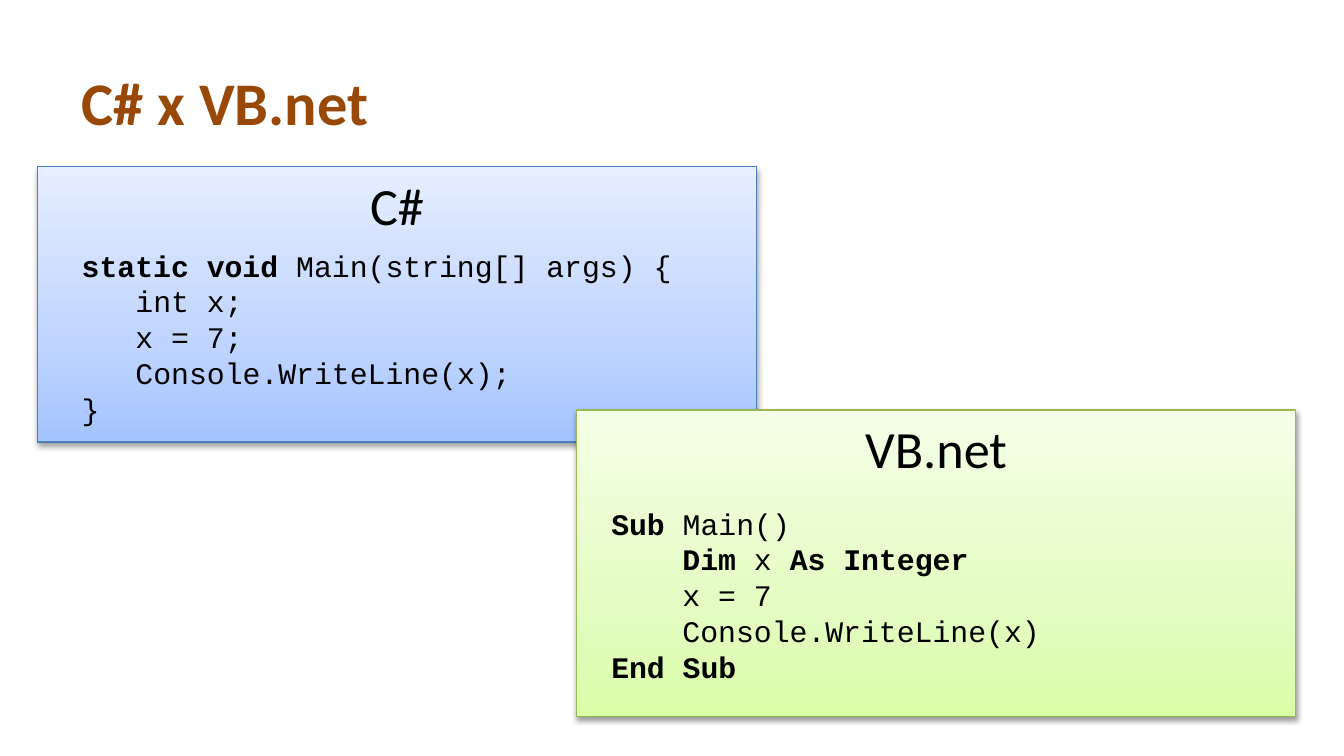
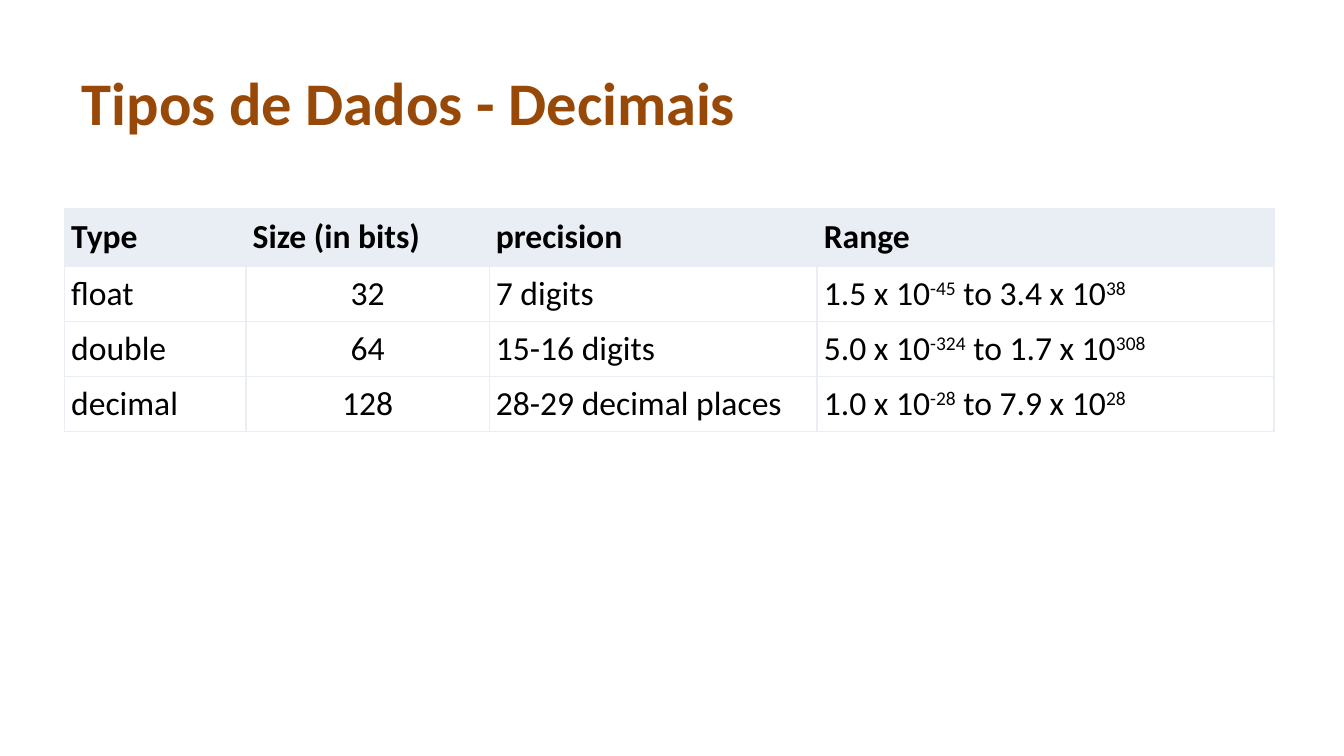
from copy import deepcopy
from dataclasses import dataclass

import lxml.etree
import pptx
import pptx.dml.color
import pptx.enum.shapes
import pptx.enum.text
import pptx.oxml
import pptx.oxml.ns
import pptx.presentation
import pptx.shapes.autoshape
import pptx.slide
import pptx.table
import pptx.text.text
import pptx.util

Inches = pptx.util.Inches
Pt = pptx.util.Pt
RGBColor = pptx.dml.color.RGBColor
Align = pptx.enum.text.PP_ALIGN
Anchor = pptx.enum.text.MSO_ANCHOR
AutoSize = pptx.enum.text.MSO_AUTO_SIZE
qn = pptx.oxml.ns.qn

BODY_FONT = "Calibri"
CODE_FONT = "Courier New"
BLACK = RGBColor(0x00, 0x00, 0x00)
WHITE = RGBColor(0xFF, 0xFF, 0xFF)
BROWN = RGBColor(0x98, 0x48, 0x07)
PALE_BLUE = RGBColor(0xE8, 0xEE, 0xF4)
BLUE_LINE = RGBColor(0x4B, 0x7E, 0xBC)
BLUE_STOPS = (
    RGBColor(0xA4, 0xC4, 0xFF),
    RGBColor(0xBF, 0xD4, 0xFF),
    RGBColor(0xE6, 0xEE, 0xFF),
)
GREEN_LINE = RGBColor(0x98, 0xB9, 0x55)
GREEN_STOPS = (
    RGBColor(0xDA, 0xFD, 0xA7),
    RGBColor(0xE4, 0xFC, 0xC2),
    RGBColor(0xF5, 0xFF, 0xE7),
)
STOP_POSITIONS = (0, 0.35, 1)
HAIRLINE = Pt(0.75)
PAGE_WIDTH = Inches(10)
PAGE_HEIGHT = PAGE_WIDTH * 9 // 16
PANEL_WIDTH = 5.35
CODE_WIDTH = 4.96
COLUMN_WIDTHS = (1.35, 1.81, 2.44, 3.4)
HEADER_HEIGHT = 0.43
ROW_HEIGHT = 0.41


@dataclass(frozen=True)
class Span:
    text: str
    bold: bool = False
    raised: bool = False


@dataclass(frozen=True)
class CodeLine:
    spans: tuple[Span, ...]
    indented: bool = False


@dataclass(frozen=True)
class CodePanel:
    language: str
    left: float
    top: float
    height: float
    line_color: RGBColor
    stops: tuple[RGBColor, ...]
    code_left: float
    code_top: float
    code_height: float
    indent: float
    lines: tuple[CodeLine, ...]


@dataclass(frozen=True)
class NumberType:
    name: str
    bits: str
    precision: str
    low: str
    low_power: str
    high: str
    high_power: str


PANELS = (
    CodePanel(
        "C#", 0.28, 1.24, 2.05, BLUE_LINE, BLUE_STOPS, 0.51, 1.79, 1.45, 0.4,
        (
            CodeLine((Span("static void ", True), Span("Main(string[] args) {"))),
            CodeLine((Span("int x;"),), True),
            CodeLine((Span("x = 7;"),), True),
            CodeLine((Span("Console.WriteLine(x);"),), True),
            CodeLine((Span("}"),)),
        ),
    ),
    CodePanel(
        "VB.net", 4.29, 3.05, 2.28, GREEN_LINE, GREEN_STOPS, 4.45, 3.71, 1.48, 0.53,
        (
            CodeLine((Span("Sub ", True), Span("Main()"))),
            CodeLine((Span("Dim", True), Span(" x "), Span("As Integer", True)), True),
            CodeLine((Span("x = 7"),), True),
            CodeLine((Span("Console.WriteLine(x)"),), True),
            CodeLine((Span("End Sub", True),)),
        ),
    ),
)

HEADINGS = ("Type", "Size (in bits)", "precision", "Range")
NUMBER_TYPES = (
    NumberType("float", "32", "7 digits", "1.5", "-45", "3.4", "38"),
    NumberType("double", "64", "15-16 digits", "5.0", "-324", "1.7", "308"),
    NumberType("decimal", "128", "28-29 decimal places", "1.0", "-28", "7.9", "28"),
)


def add_span(
    para: pptx.text.text._Paragraph,
    span: Span,
    size: float,
    font: str = BODY_FONT,
    color: RGBColor = BLACK,
) -> None:
    run = para.add_run()
    run.text = span.text
    run.font.name = font
    run.font.size = Pt(size)
    run.font.bold = span.bold
    run.font.color.rgb = color
    if span.raised:
        run.font._element.set("baseline", "30000")


def add_titled_page(deck: pptx.presentation.Presentation, text: str) -> pptx.slide.Slide:
    page = deck.slides.add_slide(deck.slide_layouts[5])
    title = page.shapes.title
    title.left, title.top = Inches(0.51), Inches(0.43)
    title.width, title.height = Inches(9), Inches(0.65)
    frame = title.text_frame
    frame.word_wrap = True
    frame.auto_size = AutoSize.NONE
    frame.vertical_anchor = Anchor.MIDDLE
    para = frame.paragraphs[0]
    para.alignment = Align.LEFT
    add_span(para, Span(text, True), 32.4, color=BROWN)
    return page


def fill_gradient(box: pptx.shapes.autoshape.Shape, colors: tuple[RGBColor, ...]) -> None:
    box.fill.gradient()
    box.fill.gradient_angle = 90
    stop_list = box._element.spPr.find(".//" + qn("a:gsLst"))
    stop_list.append(deepcopy(stop_list[0]))
    for stop, color, position in zip(box.fill.gradient_stops, colors, STOP_POSITIONS):
        stop.color.rgb = color
        stop.position = position


def add_drop_shadow(box: pptx.shapes.autoshape.Shape) -> None:
    box.shadow.inherit = False
    effects = box._element.spPr.find(qn("a:effectLst"))
    shadow = lxml.etree.SubElement(
        effects, qn("a:outerShdw"), blurRad=str(Pt(3.1)), dist=str(Pt(1.6)),
        dir="5400000", rotWithShape="0",
    )
    color = lxml.etree.SubElement(shadow, qn("a:srgbClr"), val=str(BLACK))
    lxml.etree.SubElement(color, qn("a:alpha"), val="38000")


def add_code_panel(page: pptx.slide.Slide, panel: CodePanel) -> None:
    group = page.shapes.add_group_shape()
    box = group.shapes.add_shape(
        pptx.enum.shapes.MSO_SHAPE.RECTANGLE,
        Inches(panel.left), Inches(panel.top), Inches(PANEL_WIDTH), Inches(panel.height),
    )
    fill_gradient(box, panel.stops)
    box.line.color.rgb = panel.line_color
    box.line.width = HAIRLINE
    add_drop_shadow(box)
    box.text_frame.vertical_anchor = Anchor.TOP
    heading = box.text_frame.paragraphs[0]
    heading.alignment = Align.CENTER
    add_span(heading, Span(panel.language), 28)

    code = group.shapes.add_textbox(
        Inches(panel.code_left), Inches(panel.code_top),
        Inches(CODE_WIDTH), Inches(panel.code_height),
    )
    frame = code.text_frame
    frame.word_wrap = True
    frame.auto_size = AutoSize.SHAPE_TO_FIT_TEXT
    for number, line in enumerate(panel.lines):
        para = frame.add_paragraph() if number else frame.paragraphs[0]
        if line.indented:
            para._element.get_or_add_pPr().set("marL", str(Inches(panel.indent)))
        for span in line.spans:
            add_span(para, span, 16, CODE_FONT)


def style_cell(cell: pptx.table._Cell, fill: RGBColor, inset: float) -> None:
    properties = cell._tc.get_or_add_tcPr()
    for side in ("a:lnL", "a:lnR", "a:lnT", "a:lnB"):
        border = lxml.etree.SubElement(properties, qn(side), w=str(HAIRLINE))
        solid = lxml.etree.SubElement(border, qn("a:solidFill"))
        lxml.etree.SubElement(solid, qn("a:srgbClr"), val=str(PALE_BLUE))
    cell.fill.solid()
    cell.fill.fore_color.rgb = fill
    cell.vertical_anchor = Anchor.MIDDLE
    cell.margin_left = cell.margin_right = Inches(0.05)
    cell.margin_top = cell.margin_bottom = Inches(inset)


def type_row(number_type: NumberType) -> tuple[tuple[Span, ...], ...]:
    return (
        (Span(number_type.name),),
        (Span(number_type.bits),),
        (Span(number_type.precision),),
        (
            Span(f"{number_type.low} x 10"),
            Span(number_type.low_power, raised=True),
            Span(f" to {number_type.high} x 10"),
            Span(number_type.high_power, raised=True),
        ),
    )


def add_type_table(page: pptx.slide.Slide) -> None:
    rows = [tuple((Span(text, True),) for text in HEADINGS)]
    rows += [type_row(number_type) for number_type in NUMBER_TYPES]
    height = HEADER_HEIGHT + ROW_HEIGHT * len(NUMBER_TYPES)
    table = page.shapes.add_table(
        len(rows), len(HEADINGS), Inches(0.48), Inches(1.55), Inches(9), Inches(height),
    ).table
    table.horz_banding = False
    for column, width in zip(table.columns, COLUMN_WIDTHS):
        column.width = Inches(width)
    for row_index, row in enumerate(rows):
        is_header = row_index == 0
        table.rows[row_index].height = Inches(HEADER_HEIGHT if is_header else ROW_HEIGHT)
        for column_index, spans in enumerate(row):
            cell = table.cell(row_index, column_index)
            style_cell(cell, PALE_BLUE if is_header else WHITE, 0.06 if is_header else 0.05)
            para = cell.text_frame.paragraphs[0]
            centered = column_index == 1 and not is_header
            para.alignment = Align.CENTER if centered else Align.LEFT
            for span in spans:
                add_span(para, span, 18)


def main() -> None:
    deck = pptx.Presentation()
    deck.slide_width, deck.slide_height = PAGE_WIDTH, PAGE_HEIGHT
    comparison = add_titled_page(deck, "C# x VB.net")
    for panel in PANELS:
        add_code_panel(comparison, panel)
    add_type_table(add_titled_page(deck, "Tipos de Dados - Decimais"))
    deck.save("out.pptx")


if __name__ == "__main__":
    main()
